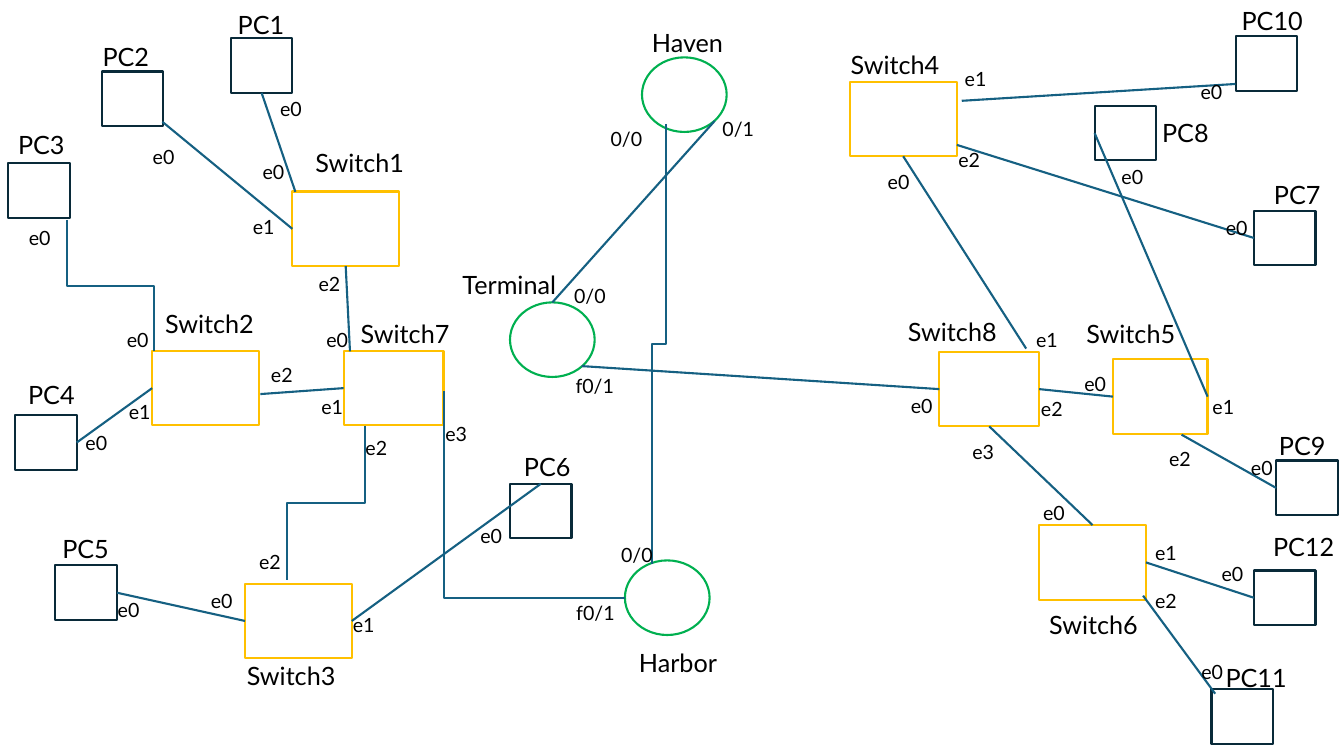
"""Build a one-slide network diagram of routers, switches and PCs."""
from lxml import etree
from pptx import Presentation
from pptx.dml.color import RGBColor
from pptx.enum.shapes import MSO_CONNECTOR, MSO_SHAPE
from pptx.enum.text import MSO_AUTO_SIZE
from pptx.oxml.ns import qn
from pptx.util import Pt

RECTANGLE, OVAL = MSO_SHAPE.RECTANGLE, MSO_SHAPE.OVAL
STRAIGHT, ELBOW = MSO_CONNECTOR.STRAIGHT, MSO_CONNECTOR.ELBOW
FIT_SHAPE = MSO_AUTO_SIZE.SHAPE_TO_FIT_TEXT
TOP, LEFT, BOTTOM, RIGHT = range(4)

FONT, TEXT_COLOR, LINK_COLOR = "Lato", "000000", "156082"
LINE_WIDTH = 1.5
NAME_SIZE, PORT_SIZE = 18, 14
NAME_HEIGHT, PORT_HEIGHT = 29, 24.5
ROUTER = (OVAL, "00B050", 60.5, 53.3)
SWITCH = (RECTANGLE, "FFC000", 76.3, 53.3)
CORE_SWITCH = (RECTANGLE, "FFC000", 71.3, 53.3)
EDGE_SWITCH = (RECTANGLE, "FFC000", 67.7, 54)
PC = (RECTANGLE, "092A39", 44, 39)

# name, kind, (left, top), (name left, name top, name width)
NODES = [
    ("Haven", ROUTER, (458.6, 41), (458.6, 16, 76)),
    ("Terminal", ROUTER, (364.3, 216), (323.3, 188.6, 88)),
    ("Harbor", ROUTER, (446.4, 400.3), (449.3, 458.6, 76)),
    ("Switch1", SWITCH, (208.8, 136.8), (218.2, 101.5, 83)),
    ("Switch2", SWITCH, (108.7, 250.6), (110.9, 216.7, 83)),
    ("Switch3", SWITCH, (175, 416.9), (169.2, 468, 83)),
    ("Switch4", SWITCH, (607, 58.3), (600.5, 31.7, 83)),
    ("Switch5", EDGE_SWITCH, (794.9, 256.3), (769, 223.9, 83)),
    ("Switch6", SWITCH, (742.3, 375.1), (742.3, 432, 83)),
    ("Switch7", CORE_SWITCH, (245.5, 250.6), (250.6, 223.9, 83)),
    ("Switch8", CORE_SWITCH, (671, 251.3), (641.5, 222.5, 83)),
    ("PC1", PC, (164.9, 27.4), (162.7, 2.9, 56)),
    ("PC2", PC, (72.7, 51.1), (66.2, 25.9, 50)),
    ("PC3", PC, (5.8, 116.6), (5.8, 88.6, 55)),
    ("PC4", PC, (10.8, 296.6), (13, 267.1, 50)),
    ("PC5", PC, (39.6, 403.9), (37.4, 377.3, 57)),
    ("PC6", PC, (364.3, 345.6), (367.2, 319, 52)),
    ("PC7", PC, (895.7, 150.5), (902.9, 124.6, 52.6)),
    ("PC8", PC, (781.9, 75.6), (823, 79.9, 59)),
    ("PC9", PC, (911.5, 329), (906.5, 303.8, 59)),
    ("PC10", PC, (882.7, 25.9), (879.8, 0, 60)),
    ("PC11", PC, (865.4, 492.5), (868.3, 469.4, 62)),
    ("PC12", PC, (895.7, 407.5), (902.2, 375.8, 58.3)),
]

# each end is a (node name, side) or an (x, y) point
LINKS = [
    ((510.5, 86.4), ("Terminal", TOP)),
    ((211, 137), ("PC1", BOTTOM)),
    (("Switch8", LEFT), (415.5, 261.5)),
    (("PC7", LEFT), (683.5, 103.5)),
    (("Switch8", BOTTOM), ("Switch6", TOP)),
    (("Switch5", LEFT), ("Switch8", RIGHT)),
    (("Switch1", BOTTOM), (250, 251)),
    (("Switch7", LEFT), (186, 281.5)),
    (("Switch1", LEFT), (116, 87)),
    (("Switch2", LEFT), ("PC4", RIGHT)),
    (("Switch3", LEFT), ("PC5", RIGHT)),
    (("Switch3", RIGHT), ("PC6", TOP)),
    ((882.5, 60), (687, 72)),
    ((844, 310.5), ("PC9", LEFT)),
    (("PC12", LEFT), ("Switch6", RIGHT)),
    (("PC8", LEFT), ("Switch5", RIGHT)),
    ((868, 495.5), (816.5, 425.5)),
    (("Switch4", BOTTOM), (733, 249)),
]

# start, end, preset; every route leaves its start downwards
BENT_LINKS = [
    ((476, 88.5), (466, 403), "bentConnector3"),
    ((317, 279.5), (446.5, 427), "bentConnector2"),
    ((260.5, 304), (205, 414), "bentConnector3"),
    ((48, 157), (110, 251), "bentConnector3"),
]

# text, width, (left, top) of each
PORTS = [
    ("e0", 31.7, [
        (643.5, 278), (767.5, 262), (738, 354), (627, 117.5), (851, 468),
        (865.5, 398), (886.5, 322), (794, 114.5), (868.5, 150.5), (850.5, 53.5),
        (193, 65.5), (102, 100), (13.5, 157.5), (54, 304.5), (83.5, 231),
        (77, 423.5), (336, 371), (143.5, 417), (226, 231), (180.5, 111)]),
    ("e1", 31.7, [
        (733, 231), (859, 278.5), (682, 44), (245, 434), (222.5, 278.5),
        (85, 282), (173.5, 150), (818, 383)]),
    ("e2", 31.7, [
        (736.5, 280), (677.5, 102), (186.5, 255.5), (178, 389.5), (254, 308),
        (220.5, 191), (828, 315.5), (818, 417)]),
    ("e3", 31.7, [(687.5, 310.5), (311, 297.5)]),
    ("0/0", 42.5, [(429, 87), (403, 199.5), (436.5, 384)]),
    ("0/1", 72, [(509, 80)]),
    ("f0/1", 41.8, [(404, 263.5), (404.5, 426)]),
]


def color(value):
    return RGBColor.from_string(value)


def add_node(page, kind, left, top):
    preset, outline, width, height = kind
    shape = page.shapes.add_shape(preset, Pt(left), Pt(top), Pt(width), Pt(height))
    shape.shadow.inherit = False
    shape.fill.background()
    shape.line.color.rgb = color(outline)
    shape.line.width = Pt(LINE_WIDTH)
    return shape


def add_label(page, text, left, top, width, height, size):
    box = page.shapes.add_textbox(Pt(left), Pt(top), Pt(width), Pt(height))
    frame = box.text_frame
    frame.word_wrap = True
    frame.auto_size = FIT_SHAPE
    frame.text = text
    font = frame.paragraphs[0].runs[0].font
    font.name, font.size = FONT, Pt(size)
    font.color.rgb = color(TEXT_COLOR)


def add_line(page, kind, start, end):
    line = page.shapes.add_connector(kind, *map(Pt, start + end))
    line.line.color.rgb = color(LINK_COLOR)
    line.line.width = Pt(LINE_WIDTH)
    etree.SubElement(line._element.spPr, qn("a:effectLst"))
    return line


def add_link(page, nodes, start, end):
    points = [(0, 0) if spot[0] in nodes else spot for spot in (start, end)]
    line = add_line(page, STRAIGHT, *points)
    for spot, connect in ((start, line.begin_connect), (end, line.end_connect)):
        if spot[0] in nodes:
            name, side = spot
            connect(nodes[name], side)


def add_bent_link(page, start, end, preset):
    (x1, y1), (x2, y2) = start, end
    center_x, center_y = (x1 + x2) / 2, (y1 + y2) / 2
    turn = 1 if x2 < x1 else -1
    half_x, half_y = turn * (y2 - y1) / 2, turn * (x2 - x1) / 2
    line = add_line(page, ELBOW, (center_x - half_x, center_y + half_y),
                    (center_x + half_x, center_y - half_y))
    properties = line._element.spPr
    properties.find(qn("a:xfrm")).set("rot", str(turn % 4 * 90 * 60000))
    properties.find(qn("a:prstGeom")).set("prst", preset)


def main():
    deck = Presentation()
    deck.slide_width, deck.slide_height = Pt(960), Pt(540)
    page = deck.slides.add_slide(deck.slide_layouts[6])
    nodes = {name: add_node(page, kind, *place) for name, kind, place, _ in NODES}
    for start, end in LINKS:
        add_link(page, nodes, start, end)
    for start, end, preset in BENT_LINKS:
        add_bent_link(page, start, end, preset)
    for name, _, _, place in NODES:
        add_label(page, name, *place, NAME_HEIGHT, NAME_SIZE)
    for text, width, places in PORTS:
        for left, top in places:
            add_label(page, text, left, top, width, PORT_HEIGHT, PORT_SIZE)
    deck.save("out.pptx")


if __name__ == "__main__":
    main()
